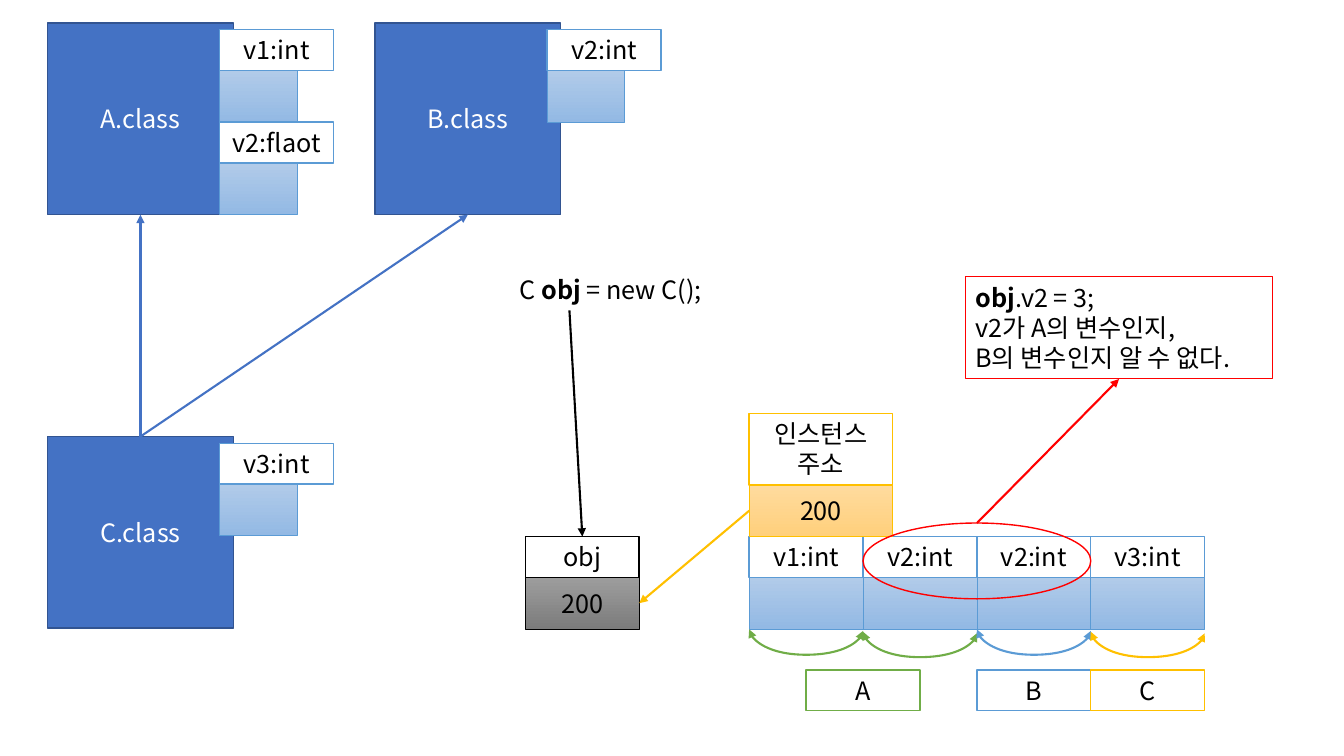
from dataclasses import dataclass
from typing import Optional

from lxml.etree import SubElement
from pptx import Presentation
from pptx.dml.color import RGBColor
from pptx.enum.shapes import MSO_CONNECTOR, MSO_SHAPE
from pptx.enum.text import MSO_ANCHOR, MSO_AUTO_SIZE, PP_ALIGN
from pptx.oxml.ns import qn
from pptx.util import Cm, Pt

FONT = "Noto Sans CJK KR"
BLACK = RGBColor(0x00, 0x00, 0x00)
WHITE = RGBColor(0xFF, 0xFF, 0xFF)
NAVY = RGBColor(0x32, 0x54, 0x91)
INDIGO = RGBColor(0x44, 0x72, 0xC4)
BLUE = RGBColor(0x5B, 0x9B, 0xD5)
GREEN = RGBColor(0x70, 0xAD, 0x47)
GOLD = RGBColor(0xFF, 0xC0, 0x00)
RED = RGBColor(0xFF, 0x00, 0x00)
BLUE_FADE = (RGBColor(0xB1, 0xCB, 0xE9), RGBColor(0x93, 0xB9, 0xE4))
GREY_FADE = (RGBColor(0x9D, 0x9D, 0x9D), RGBColor(0x7C, 0x7C, 0x7C))
GOLD_FADE = (RGBColor(0xFF, 0xDB, 0x9E), RGBColor(0xFF, 0xD0, 0x7C))

CLASS_W, CLASS_H = 4.68, 4.83
LABEL_H, VALUE_H = 1.03, 1.3
CELL_W, FIELD_VALUE_W = 2.87, 1.95
FIELD_DX, FIELD_DY = 4.34, 0.17
INSTANCE_X, INSTANCE_Y = 18.88, 13.52
VALUE_Y = INSTANCE_Y + LABEL_H
OBJ_X = 13.24
CURVE_DROP, CURVE_ADJUST = 0.04, 1600000


@dataclass
class Run:
    text: str
    bold: bool = False


Lines = list[list[Run]]


@dataclass
class Box:
    x: float
    y: float
    w: float
    h: float
    line: RGBColor
    lines: Optional[Lines] = None
    fill: Optional[RGBColor] = None
    fade: Optional[tuple[RGBColor, RGBColor]] = None
    color: RGBColor = BLACK
    weight: float = 1
    align: PP_ALIGN = PP_ALIGN.CENTER
    grow: bool = False
    kind: MSO_SHAPE = MSO_SHAPE.RECTANGLE


@dataclass
class ClassBox:
    name: str
    x: float
    y: float
    fields: list[str]


@dataclass
class Arrow:
    x1: float
    y1: float
    x2: float
    y2: float
    color: RGBColor


def write(tf, lines: Lines, color: RGBColor, align: PP_ALIGN) -> None:
    tf.word_wrap = True
    for i, line in enumerate(lines):
        p = tf.paragraphs[0] if i == 0 else tf.add_paragraph()
        p.alignment = align
        for run in line:
            r = p.add_run()
            r.text = run.text
            r.font.size = Pt(18)
            r.font.bold = run.bold
            r.font.color.rgb = color
            r.font.name = FONT
            SubElement(r.font._element, qn("a:ea"), typeface=FONT)


def draw_box(s, box: Box) -> None:
    sp = s.shapes.add_shape(box.kind, Cm(box.x), Cm(box.y), Cm(box.w), Cm(box.h))
    sp.shadow.inherit = False
    if box.fade:
        sp.fill.gradient()
        sp.fill.gradient_angle = 270
        for stop, color in zip(sp.fill.gradient_stops, box.fade):
            stop.color.rgb = color
    elif box.fill is not None:
        sp.fill.solid()
        sp.fill.fore_color.rgb = box.fill
    else:
        sp.fill.background()
    sp.line.color.rgb = box.line
    sp.line.width = Pt(box.weight)
    if box.lines:
        tf = sp.text_frame
        write(tf, box.lines, box.color, box.align)
        tf.vertical_anchor = MSO_ANCHOR.TOP if box.grow else MSO_ANCHOR.MIDDLE
        if box.grow:
            tf.auto_size = MSO_AUTO_SIZE.SHAPE_TO_FIT_TEXT


def draw_label(s, x: float, y: float, texts: list[str], line: RGBColor,
               w: float = CELL_W, h: float = LABEL_H) -> None:
    lines = [[Run(text)] for text in texts]
    draw_box(s, Box(x, y, w, h, line, lines, fill=WHITE, grow=True))


def draw_value(s, x: float, y: float, w: float, line: RGBColor,
               fade: tuple[RGBColor, RGBColor], text: str = "") -> None:
    lines = [[Run(text)]] if text else None
    draw_box(s, Box(x, y, w, VALUE_H, line, lines, fade=fade, weight=0.5))


def draw_class(s, item: ClassBox) -> None:
    draw_box(s, Box(item.x, item.y, CLASS_W, CLASS_H, NAVY, [[Run(item.name)]],
                    fill=INDIGO, color=WHITE))
    for i, field in enumerate(item.fields):
        x = item.x + FIELD_DX
        y = item.y + FIELD_DY + i * (LABEL_H + VALUE_H)
        draw_value(s, x, y + LABEL_H, FIELD_VALUE_W, BLUE, BLUE_FADE)
        draw_label(s, x, y, [field], BLUE)


def draw_connector(s, kind: MSO_CONNECTOR, arrow: Arrow, ends: list[str]):
    c = s.shapes.add_connector(kind, Cm(arrow.x1), Cm(arrow.y1), Cm(arrow.x2), Cm(arrow.y2))
    c.line.color.rgb = arrow.color
    c.line.width = Pt(1.5)
    for end in ends:
        SubElement(c.line._get_or_add_ln(), qn(f"a:{end}"), type="triangle")
    SubElement(c._element.spPr, qn("a:effectLst"))
    return c


def draw_span(s, x: float, y: float, color: RGBColor) -> None:
    mid_x, mid_y = x + CELL_W / 2, y + CURVE_DROP / 2
    half_w, half_h = CURVE_DROP / 2, CELL_W / 2
    arrow = Arrow(mid_x + half_w, mid_y - half_h, mid_x - half_w, mid_y + half_h, color)
    c = draw_connector(s, MSO_CONNECTOR.CURVE, arrow, ["headEnd", "tailEnd"])
    c._element.spPr.find(qn("a:xfrm")).set("rot", "16200000")
    guides = c._element.spPr.find(qn("a:prstGeom")).find(qn("a:avLst"))
    SubElement(guides, qn("a:gd"), name="adj1", fmla=f"val {CURVE_ADJUST}")


def main() -> None:
    prs = Presentation()
    prs.slide_width, prs.slide_height = Cm(33.87), Cm(19.05)
    s = prs.slides.add_slide(prs.slide_layouts[6])

    a = ClassBox("A.class", 1.2, 0.58, ["v1:int", "v2:flaot"])
    b = ClassBox("B.class", 9.45, 0.58, ["v2:int"])
    c = ClassBox("C.class", 1.2, 11, ["v3:int"])
    for item in (a, b, c):
        draw_class(s, item)

    for i, field in enumerate(["v1:int", "v2:int", "v2:int", "v3:int"]):
        x = INSTANCE_X + i * CELL_W
        draw_value(s, x, VALUE_Y, CELL_W, BLUE, BLUE_FADE)
        draw_label(s, x, INSTANCE_Y, [field], BLUE)

    draw_value(s, OBJ_X, VALUE_Y, CELL_W, BLACK, GREY_FADE, "200")
    draw_label(s, OBJ_X, INSTANCE_Y, ["obj"], BLACK)
    draw_label(s, INSTANCE_X, 10.42, ["인스턴스", "주소"], GOLD, 3.62, 1.8)
    draw_value(s, INSTANCE_X, INSTANCE_Y - VALUE_H, 3.62, GOLD, GOLD_FADE, "200")

    code = s.shapes.add_textbox(Cm(12.85), Cm(6.79), Cm(13.44), Cm(LABEL_H))
    write(code.text_frame, [[Run("C "), Run("obj", True), Run(" = new C();")]],
          BLACK, PP_ALIGN.LEFT)

    for i, color in enumerate([GREEN, GREEN, BLUE, GOLD]):
        draw_span(s, INSTANCE_X + i * CELL_W, 15.86 + i % 2 * 0.06, color)
    for name, column, color in [("A", 0.5, GREEN), ("B", 2, BLUE), ("C", 3, GOLD)]:
        draw_label(s, INSTANCE_X + column * CELL_W, 16.88, [name], color)

    draw_box(s, Box(INSTANCE_X + CELL_W, 13.18, 2 * CELL_W, 1.91, RED, kind=MSO_SHAPE.OVAL))
    question = [[Run("obj", True), Run(".v2 = 3;")],
                [Run("v2가 A의 변수인지,")],
                [Run("B의 변수인지 알 수 없다.")]]
    draw_box(s, Box(24.33, 6.98, 7.73, 2.57, RED, question, weight=0.75,
                    align=PP_ALIGN.LEFT, grow=True))

    center = CLASS_W / 2
    for arrow in [
        Arrow(c.x + center, c.y, a.x + center, a.y + CLASS_H, INDIGO),
        Arrow(c.x + center, c.y, b.x + center, b.y + CLASS_H, INDIGO),
        Arrow(INSTANCE_X, 12.87, OBJ_X + CELL_W, 15.2, GOLD),
        Arrow(14.35, 7.82, OBJ_X + CELL_W / 2, INSTANCE_Y, BLACK),
        Arrow(INSTANCE_X + 2 * CELL_W, 13.18, 28.2, 9.55, RED),
    ]:
        draw_connector(s, MSO_CONNECTOR.STRAIGHT, arrow, ["tailEnd"])

    prs.save("out.pptx")


if __name__ == "__main__":
    main()
